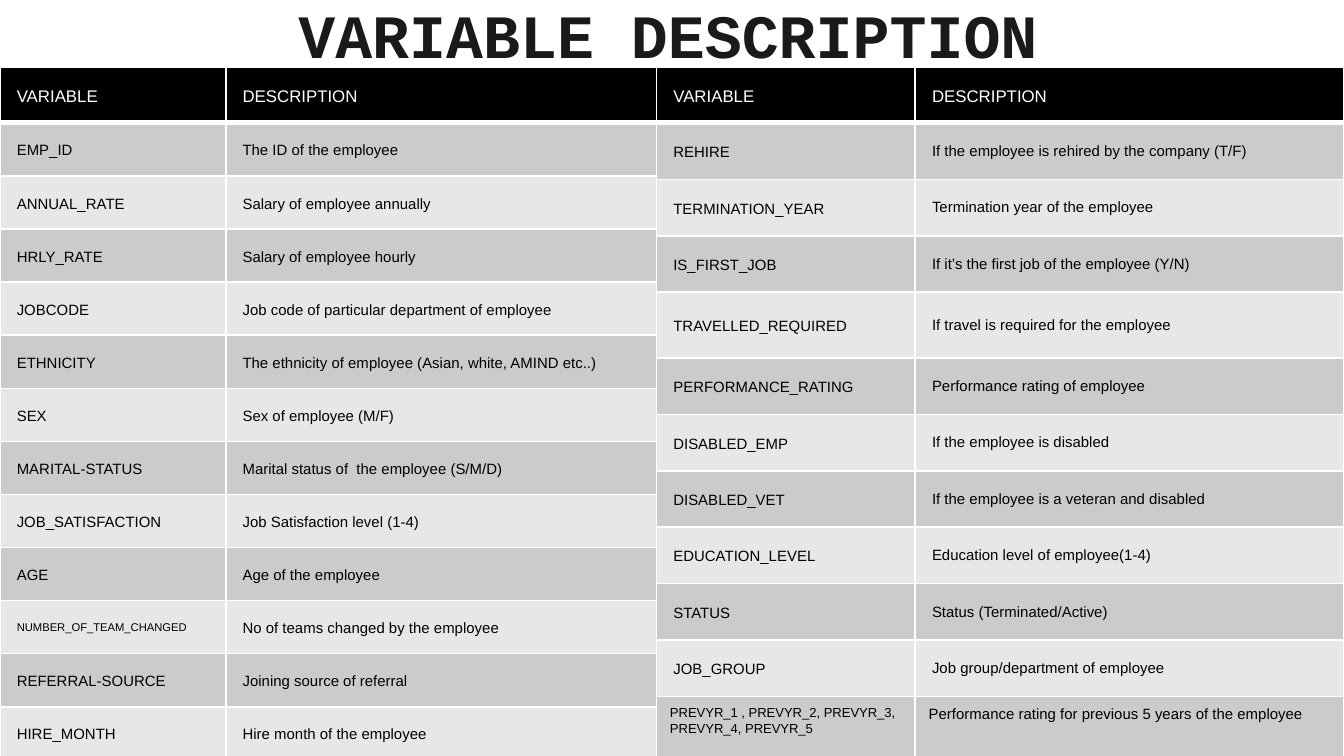
"""Build the variable description slide with its two reference tables."""
from dataclasses import dataclass, field

from lxml import etree
from pptx import Presentation
from pptx.dml.color import RGBColor
from pptx.enum.shapes import MSO_SHAPE
from pptx.enum.text import MSO_ANCHOR, MSO_AUTO_SIZE, PP_ALIGN
from pptx.oxml.ns import qn
from pptx.util import Emu, Pt

PX_PER_INCH = 200
EMU_PER_PX = 914400 // PX_PER_INCH
SLIDE_WIDTH, SLIDE_HEIGHT = 2000, 1125
TABLE_TOP, HEADER_HEIGHT = 100, 83

RECTANGLE = MSO_SHAPE.RECTANGLE
TOP, MIDDLE = MSO_ANCHOR.TOP, MSO_ANCHOR.MIDDLE
CENTER = PP_ALIGN.CENTER
NO_AUTOFIT = MSO_AUTO_SIZE.NONE

BACKGROUND = RGBColor(0xE9, 0xED, 0xEE)
WHITE = RGBColor(0xFF, 0xFF, 0xFF)
BLACK = RGBColor(0x00, 0x00, 0x00)
INK = RGBColor(0x1A, 0x1A, 0x1A)
DARK_BAND = RGBColor(0xCB, 0xCB, 0xCB)
LIGHT_BAND = RGBColor(0xE7, 0xE7, 0xE7)


@dataclass(frozen=True)
class Entry:
    """One variable with its description and row format."""
    variable: str
    description: str
    height: int = 84
    variable_size: int = 8
    description_spacing: float = 1.0
    margins: tuple[int, int] = (25, 24)
    anchor: MSO_ANCHOR = MIDDLE


@dataclass(frozen=True)
class Glossary:
    """A table of variables at a horizontal position."""
    left: int
    widths: tuple[int, int]
    entries: list[Entry] = field(default_factory=list)


@dataclass(frozen=True)
class CellFormat:
    """The look of one table cell."""
    fill: RGBColor
    color: RGBColor
    size: int
    spacing: float
    margins: tuple[int, int]
    anchor: MSO_ANCHOR
    top_border: int
    bottom_border: int


def left_entry(variable: str, description: str, size: int = 8) -> Entry:
    """Return an entry in the row format of the left table."""
    return Entry(variable, description, 79, size, 1.15)


GLOSSARIES = [
    Glossary(0, (336, 652), [
        left_entry("EMP_ID", "The ID of the employee"),
        left_entry("ANNUAL_RATE", "Salary of employee annually"),
        left_entry("HRLY_RATE", "Salary of employee hourly"),
        left_entry("JOBCODE", "Job code of particular department of employee"),
        left_entry("ETHNICITY", "The ethnicity of employee (Asian, white, AMIND etc..)"),
        left_entry("SEX", "Sex of employee (M/F)"),
        left_entry("MARITAL-STATUS", "Marital status of  the employee (S/M/D)"),
        left_entry("JOB_SATISFACTION", "Job Satisfaction level (1-4)"),
        left_entry("AGE", "Age of the employee"),
        left_entry("NUMBER_OF_TEAM_CHANGED", "No of teams changed by the employee", 6),
        left_entry("REFERRAL-SOURCE", "Joining source of referral"),
        left_entry("HIRE_MONTH", "Hire month of the employee"),
    ]),
    Glossary(977, (385, 638), [
        Entry("REHIRE", "If the employee is rehired by the company (T/F)"),
        Entry("TERMINATION_YEAR", "Termination year of the employee"),
        Entry("IS_FIRST_JOB", "If it’s the first job of the employee (Y/N)"),
        Entry("TRAVELLED_REQUIRED", "If travel is required for the employee", 98),
        Entry("PERFORMANCE_RATING", "Performance rating of employee"),
        Entry("DISABLED_EMP", "If the employee is disabled"),
        Entry("DISABLED_VET", "If the employee is a veteran and disabled"),
        Entry("EDUCATION_LEVEL", "Education level of employee(1-4)"),
        Entry("STATUS", "Status (Terminated/Active)"),
        Entry("JOB_GROUP", "Job group/department of employee"),
        Entry("PREVYR_1 , PREVYR_2, PREVYR_3, PREVYR_4, PREVYR_5",
              "Performance rating for previous 5 years of the employee",
              118, 7, 1.15, (20, 10), TOP),
    ]),
]


def px(length: int) -> Emu:
    """Convert px to EMU."""
    return Emu(length * EMU_PER_PX)


def apply(target, values: dict) -> None:
    """Set each named attribute on the target."""
    for name, value in values.items():
        setattr(target, name, value)


def add_border(cell, side: str, points: int) -> None:
    """Give one side of a cell a white line."""
    properties = cell._tc.get_or_add_tcPr()
    line = etree.SubElement(properties, qn(f"a:{side}"), w=str(Pt(points)))
    fill = etree.SubElement(line, qn("a:solidFill"))
    etree.SubElement(fill, qn("a:srgbClr"), val=str(WHITE))


def fill_cell(cell, text: str, look: CellFormat) -> None:
    """Write and format one table cell."""
    for side, points in (("lnL", 1), ("lnR", 1),
                         ("lnT", look.top_border), ("lnB", look.bottom_border)):
        add_border(cell, side, points)
    cell.fill.solid()
    cell.fill.fore_color.rgb = look.fill
    side_margin, end_margin = map(px, look.margins)
    apply(cell, {"text": text, "vertical_anchor": look.anchor,
                 "margin_left": side_margin, "margin_right": side_margin,
                 "margin_top": end_margin, "margin_bottom": end_margin})
    paragraph = cell.text_frame.paragraphs[0]
    paragraph.line_spacing = look.spacing
    font = paragraph.runs[0].font
    apply(font, {"name": "Arial", "size": Pt(look.size), "bold": False})
    font.color.rgb = look.color


def add_glossary(slide, glossary: Glossary) -> None:
    """Draw one table of variables."""
    heights = [HEADER_HEIGHT] + [entry.height for entry in glossary.entries]
    table = slide.shapes.add_table(
        len(heights), len(glossary.widths), px(glossary.left), px(TABLE_TOP),
        px(sum(glossary.widths)), px(sum(heights))).table
    for column, width in zip(table.columns, glossary.widths):
        column.width = px(width)
    for row, height in zip(table.rows, heights):
        row.height = px(height)
    header = CellFormat(BLACK, WHITE, 9, 1.15, (25, 24), MIDDLE, 1, 3)
    for column, heading in enumerate(("VARIABLE", "DESCRIPTION")):
        fill_cell(table.cell(0, column), heading, header)
    for row, entry in enumerate(glossary.entries, start=1):
        band = DARK_BAND if row % 2 else LIGHT_BAND
        top_border = 3 if row == 1 else 1
        parts = ((entry.variable, entry.variable_size, 1.15),
                 (entry.description, 8, entry.description_spacing))
        for column, (text, size, spacing) in enumerate(parts):
            fill_cell(table.cell(row, column), text,
                      CellFormat(band, BLACK, size, spacing, entry.margins,
                                 entry.anchor, top_border, 1))


def add_title_band(slide) -> None:
    """Draw the white band behind the title."""
    band = slide.shapes.add_shape(RECTANGLE, 0, 0, px(SLIDE_WIDTH), px(106))
    band.shadow.inherit = False
    band.fill.solid()
    band.fill.fore_color.rgb = WHITE
    band.line.fill.background()


def format_title(slide) -> None:
    """Place the title in front of the band and tables."""
    title = slide.shapes.title
    apply(title, {"left": px(0), "top": px(-24), "width": px(1988), "height": px(106)})
    frame = title.text_frame
    apply(frame, {"text": "VARIABLE DESCRIPTION", "word_wrap": True,
                  "auto_size": NO_AUTOFIT, "vertical_anchor": TOP,
                  "margin_left": px(20), "margin_right": px(20),
                  "margin_top": px(20), "margin_bottom": px(20)})
    paragraph = frame.paragraphs[0]
    apply(paragraph, {"alignment": CENTER, "line_spacing": 1.0})
    font = paragraph.runs[0].font
    apply(font, {"name": "Courier New", "size": Pt(33), "bold": True})
    font.color.rgb = INK
    title.element.getparent().append(title.element)


def main() -> None:
    """Build and save the slide."""
    deck = Presentation()
    apply(deck, {"slide_width": px(SLIDE_WIDTH), "slide_height": px(SLIDE_HEIGHT)})
    slide = deck.slides.add_slide(deck.slide_layouts[5])
    slide.background.fill.solid()
    slide.background.fill.fore_color.rgb = BACKGROUND
    add_title_band(slide)
    for glossary in GLOSSARIES:
        add_glossary(slide, glossary)
    format_title(slide)
    deck.save("out.pptx")


if __name__ == "__main__":
    main()
